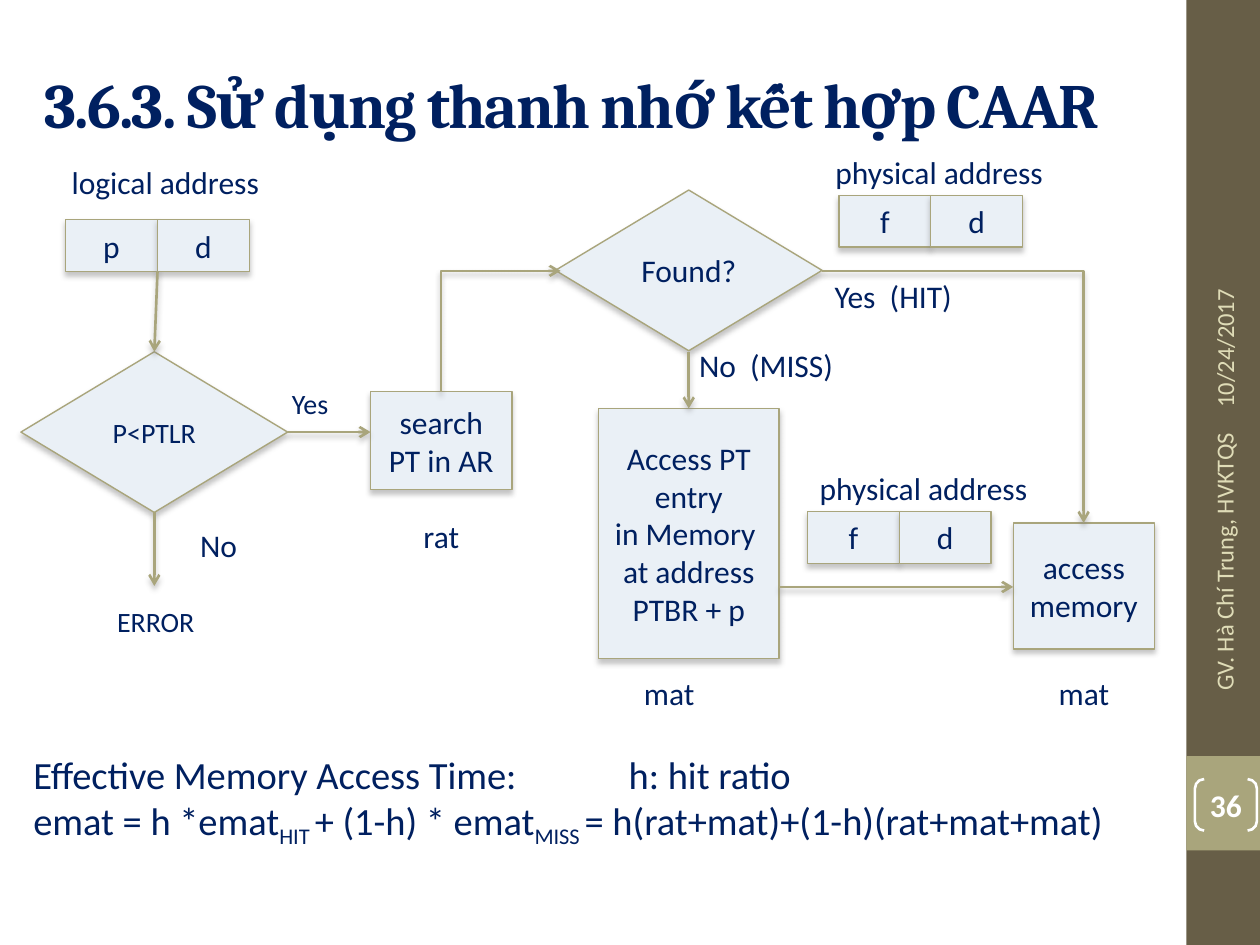
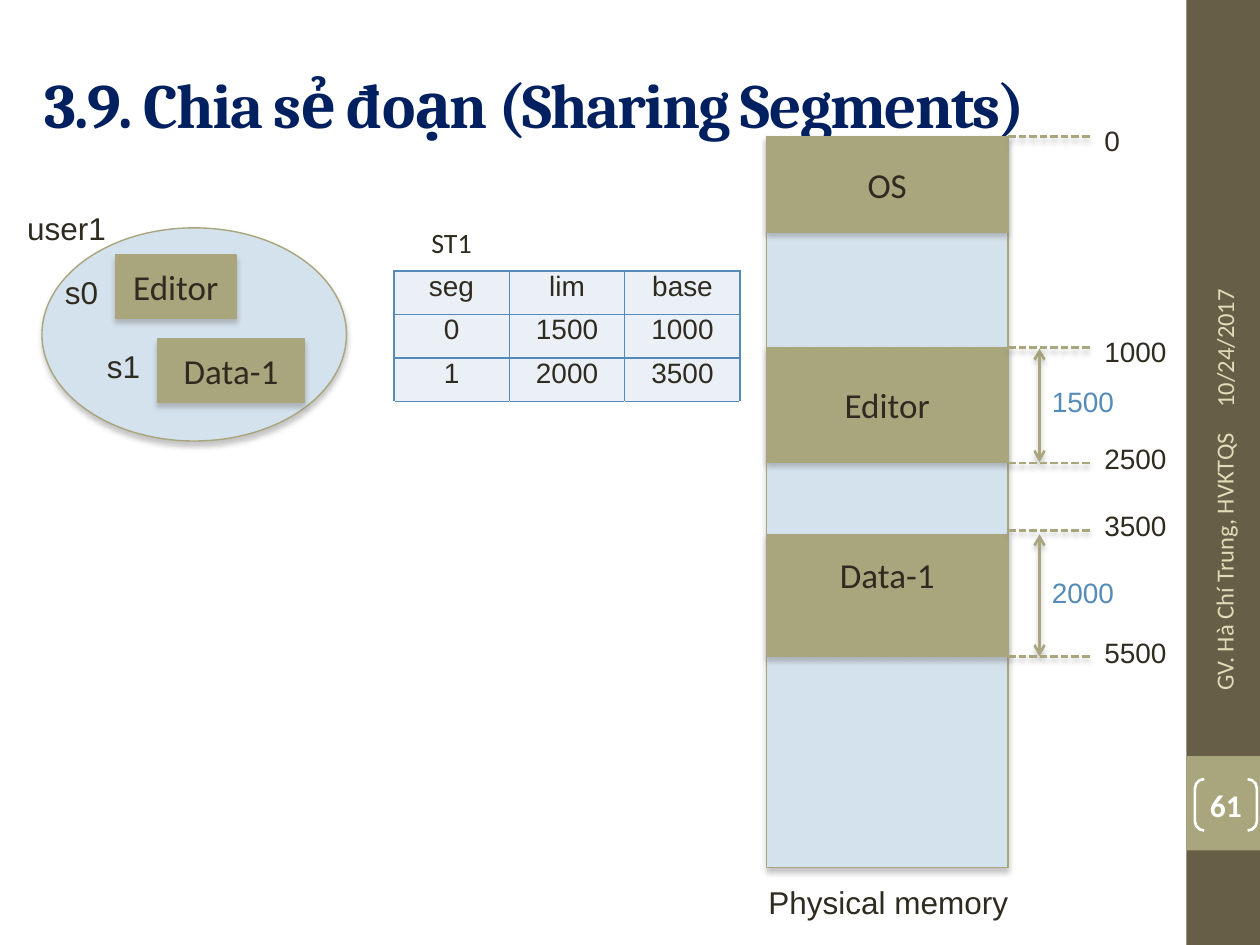
from pptx import Presentation
from pptx.util import Pt
from pptx.dml.color import RGBColor
from pptx.enum.dml import MSO_LINE as Dash
from pptx.enum.shapes import MSO_SHAPE as Form, MSO_CONNECTOR as Link
from pptx.enum.text import PP_ALIGN as Align, MSO_ANCHOR as Anchor
from pptx.oxml import parse_xml
from pptx.oxml.ns import qn
from lxml.etree import SubElement

NAVY, DARK, BLUE = "002060", "2F2B20", "558BB8"
PALE, SKY, OLIVE = "EAF0F6", "D4E2ED", "A9A57C"
BROWN, SAND, WHITE = "675E47", "DFDCB7", "FFFFFF"
SHADE = (
    '<a:effectLst xmlns:a="http://schemas.openxmlformats.org/drawingml/2006/main">'
    '<a:outerShdw blurRad="38100" dist="30000" dir="5400000" rotWithShape="0">'
    '<a:srgbClr val="808080"><a:alpha val="45000"/></a:srgbClr>'
    '</a:outerShdw></a:effectLst>'
)

deck = Presentation()
deck.slide_width, deck.slide_height = Pt(720), Pt(540)
COL = deck.slide_width // 120
ROW = deck.slide_height // 90


def paint(part, code):
    part.solid()
    part.fore_color.rgb = RGBColor.from_string(code)


def say(frame, text, size=18, face="Calibri", ink=NAVY, bold=False,
        align=Align.LEFT, anchor=Anchor.TOP, tight=0, foot=0, tab=0):
    frame.word_wrap = True
    frame.vertical_anchor = anchor
    if foot:
        frame.margin_bottom = int(foot * ROW)
    for i, line in enumerate(text.split("\n")):
        para = frame.add_paragraph() if i else frame.paragraphs[0]
        para.alignment = align
        if tab:
            stops = SubElement(para._p.get_or_add_pPr(), qn("a:tabLst"))
            SubElement(stops, qn("a:tab"), pos=str(int(tab * COL)), algn="l")
        for j, piece in enumerate(line.split("_")):
            run = para.add_run()
            run.text = piece
            font = run.font
            font.size, font.name, font.bold = Pt(size), face, bold
            paint(font.fill, ink)
            mark = run._r.get_or_add_rPr()
            if tight:
                mark.set("spc", str(tight))
            if j % 2:
                mark.set("baseline", "-25000")


slides = []
for name, page in (("3.6.3. Sử dụng thanh nhớ kết hợp CAAR", "36"),
                   ("3.9. Chia sẻ đoạn (Sharing Segments)", "61")):
    slide = deck.slides.add_slide(deck.slide_layouts[5])
    slides.append(slide)
    title = slide.shapes.title
    title.left, title.top = 3 * COL, int(3.6 * ROW)
    title.width, title.height = 107 * COL, int(12.4 * ROW)
    say(title.text_frame, name, size=36, face="Cambria", bold=True,
        anchor=Anchor.MIDDLE, tight=-100)
    for top, tall, code in ((0, 90, BROWN), (72, 9, OLIVE)):
        band = slide.shapes.add_shape(Form.RECTANGLE, 113 * COL, top * ROW, 7 * COL, tall * ROW)
        band.shadow.inherit = False
        paint(band.fill, code)
        band.line.fill.background()
    for text, x, y, wide, align in (
            ("10/24/2017", 100.6, 21.6, 32, Align.LEFT),
            ("GV. Hà Chí Trung, HVKTQS", 101, 53.2, 31.1, Align.RIGHT)):
        foot = slide.shapes.add_textbox(int(x * COL), int(y * ROW), int(wide * COL), int(4.8 * ROW))
        foot.rotation = 270
        say(foot.text_frame, text, size=14, ink=SAND, align=align, anchor=Anchor.MIDDLE)
    badge = slide.shapes.add_shape(Form.DOUBLE_BRACKET, int(113.8 * COL), int(74.2 * ROW),
                                   int(5.9 * COL), int(4.9 * ROW))
    badge.shadow.inherit = False
    badge.adjustments[0] = 0.18
    badge.fill.background()
    paint(badge.line.fill, WHITE)
    badge.line.width = Pt(1.5)
    frame = badge.text_frame
    frame.margin_left = frame.margin_right = frame.margin_top = frame.margin_bottom = 0
    say(frame, page, ink=WHITE, bold=True, align=Align.CENTER, anchor=Anchor.MIDDLE)

flow, share = slides

RECT, STEP, TEST = Form.RECTANGLE, Form.FLOWCHART_PROCESS, Form.FLOWCHART_DECISION
forms = [
    (flow, TEST, "P<PTLR", 2, 33.5, 25.4, 15.3, PALE, {"size": 16}),
    (flow, TEST, "Found?", 52.9, 18.1, 25.4, 15.3, PALE, {}),
    (flow, STEP, "search PT in AR", 35.3, 37.3, 13.45, 9.3, PALE, {}),
    (flow, STEP, "Access PT entry\nin Memory  at address\nPTBR + p",
     57, 38.9, 17.2, 23.8, PALE, {}),
    (flow, STEP, "access memory", 96.5, 49.8, 13.45, 12, PALE, {}),
]
for pair, x, y in (("pd", 6.25, 20.9), ("fd", 76.9, 48.7), ("fd", 79.9, 18.6)):
    for i, sign in enumerate(pair):
        forms.append((flow, RECT, sign, x + i * 8.75, y, 8.75, 4.95, PALE, {}))

big = {"size": 20, "ink": DARK}
forms += [
    (share, Form.OVAL, "", 4, 21.7, 29, 20.3, SKY, {}),
    (share, RECT, "Editor", 11, 24.3, 11.5, 6, OLIVE, big),
    (share, RECT, "Data-1", 15, 32.3, 14, 6, OLIVE, big),
    (share, RECT, "", 73, 13, 23, 69.6, SKY, {}),
    (share, RECT, "OS", 73, 13, 23, 9.1, OLIVE, big),
    (share, RECT, "Editor", 73, 33.1, 23, 10.9, OLIVE, big),
    (share, RECT, "Data-1", 73, 50.9, 23, 11.6, OLIVE, {**big, "foot": 4.6}),
]
for slide, kind, text, x, y, wide, tall, code, style in forms:
    form = slide.shapes.add_shape(kind, int(x * COL), int(y * ROW), int(wide * COL), int(tall * ROW))
    paint(form.fill, code)
    paint(form.line.fill, OLIVE)
    form.line.width = Pt(0.79)
    form._element.spPr.append(parse_xml(SHADE))
    if text:
        say(form.text_frame, text, align=Align.CENTER, anchor=Anchor.MIDDLE, **style)

mid = {"align": Align.CENTER}
arial = {"face": "Arial", "ink": DARK}
notes = [
    (flow, "logical address", 2, 14.9, 27.5, mid),
    (flow, "physical address", 74.2, 44.1, 27.5, mid),
    (flow, "physical address", 75.7, 14, 27.5, mid),
    (flow, "mat", 57, 63.6, 13.45, mid),
    (flow, "mat", 96.5, 63.6, 13.45, mid),
    (flow, "rat", 35.3, 48.7, 13.45, mid),
    (flow, "No", 14.1, 49.5, 13.45, mid),
    (flow, "Yes", 22.8, 36.2, 13.45, {**mid, "size": 16}),
    (flow, "ERROR", 8.1, 57, 13.45, {**mid, "size": 16}),
    (flow, "Yes  (HIT)", 78.3, 25.8, 25, {}),
    (flow, "No  (MISS)", 65.4, 32.4, 25, {}),
    (flow, "Effective Memory Access Time:\th: hit ratio\n"
           "emat = h *emat_HIT _+ (1-h) * emat_MISS _= h(rat+mat)+(1-h)(rat+mat+mat)",
     2, 70.9, 109, {"size": 22, "tab": 56.7}),
    (share, "user1", 1.4, 19.3, 21, arial),
    (share, "s0", 5, 25.4, 7, arial),
    (share, "s1", 9, 32.5, 7, arial),
    (share, "Physical memory", 72, 83.5, 27, arial),
    (share, "1500", 99, 36, 11, {"size": 16, "face": "Arial", "ink": BLUE}),
    (share, "2000", 99, 54.2, 11, {"size": 16, "face": "Arial", "ink": BLUE}),
]
lines = [
    (flow, 15, 25.85, 14.7, 33.5, "tail"),
    (flow, 27.4, 41.15, 35.3, 41.15, "tail"),
    (flow, 14.7, 48.8, 14.7, 55.8, "tail"),
    (flow, 74.2, 55.9, 96.5, 55.9, "tail"),
    (flow, 65.6, 33.5, 65.6, 38.9, "tail"),
    (flow, 78.3, 25.8, 103.2, 49.8, "bent tail"),
    (flow, 53.4, 25.8, 42, 37.3, "bent head"),
    (share, 99, 33.2, 99, 44, "head tail"),
    (share, 99, 50.9, 99, 62.5, "head tail"),
]
for text, y, top in (("0", 13, 11.2), ("1000", 33.1, 31.3), ("2500", 44.1, 41.5),
                     ("3500", 50.5, 47.8), ("5500", 62.5, 59.9)):
    notes.append((share, text, 104, top, 11, {**arial, "size": 16}))
    lines.append((share, 96, y, 104, y, "dash"))

for slide, text, x, y, wide, style in notes:
    note = slide.shapes.add_textbox(int(x * COL), int(y * ROW), int(wide * COL), int(4.8 * ROW))
    say(note.text_frame, text, **style)

for slide, x1, y1, x2, y2, look in lines:
    kind = Link.ELBOW if "bent" in look else Link.STRAIGHT
    link = slide.shapes.add_connector(kind, int(x1 * COL), int(y1 * ROW), int(x2 * COL), int(y2 * ROW))
    shell = link._element.spPr
    if "bent" in look:
        shell.find(qn("a:prstGeom")).set("prst", "bentConnector2")
    paint(link.line.fill, OLIVE)
    link.line.width = Pt(1.5)
    if "dash" in look:
        link.line.dash_style = Dash.SQUARE_DOT
    for end in ("head", "tail"):
        if end in look:
            SubElement(shell.find(qn("a:ln")), qn(f"a:{end}End"), type="arrow")
    shell.append(parse_xml(SHADE))

rows = [("ST1", "", ""), ("seg", "lim", "base"), ("0", "1500", "1000"),
        ("1", "2000", "3500"), ("", "", "")]
grid = share.shapes.add_table(5, 3, int(37.5 * COL), 21 * ROW, 33 * COL, 21 * ROW).table
grid.first_row = grid.horz_banding = False
for r, row in enumerate(rows):
    grid.rows[r].height = int(4.15 * ROW)
    body = 0 < r < 4
    for c, text in enumerate(row):
        cell = grid.cell(r, c)
        if body:
            cell.margin_left = cell.margin_right = int(0.84 * COL)
            cell.margin_top = cell.margin_bottom = 0
        edges = cell._tc.get_or_add_tcPr()
        for side, blue in (("L", body), ("R", body), ("T", r > 0), ("B", r < 4)):
            edge = SubElement(edges, qn(f"a:ln{side}"), w="12700")
            ink = SubElement(edge, qn("a:solidFill"))
            SubElement(ink, qn("a:srgbClr"), val=BLUE if blue else WHITE)
        paint(cell.fill, PALE if body else WHITE)
        if text:
            say(cell.text_frame, text, size=16, ink=DARK, align=Align.CENTER,
                face="Arial" if body else "Calibri")

deck.save("out.pptx")
